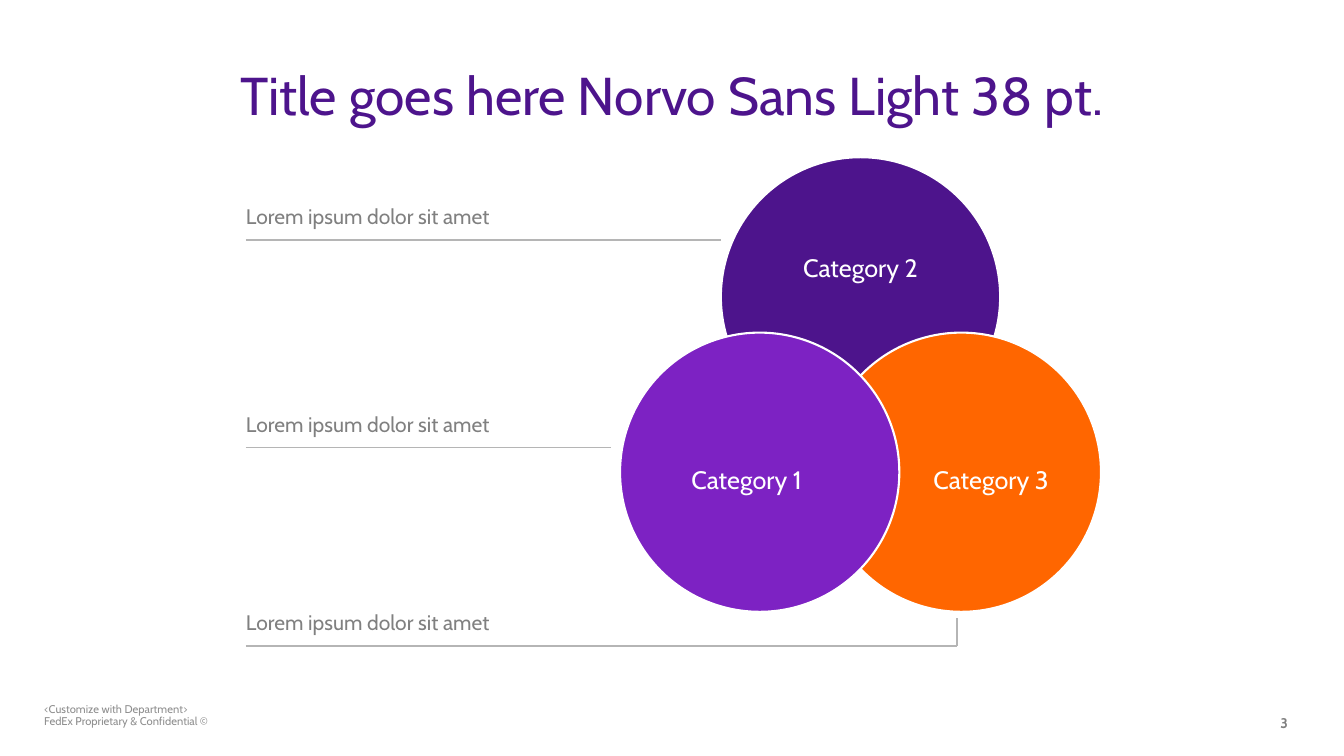
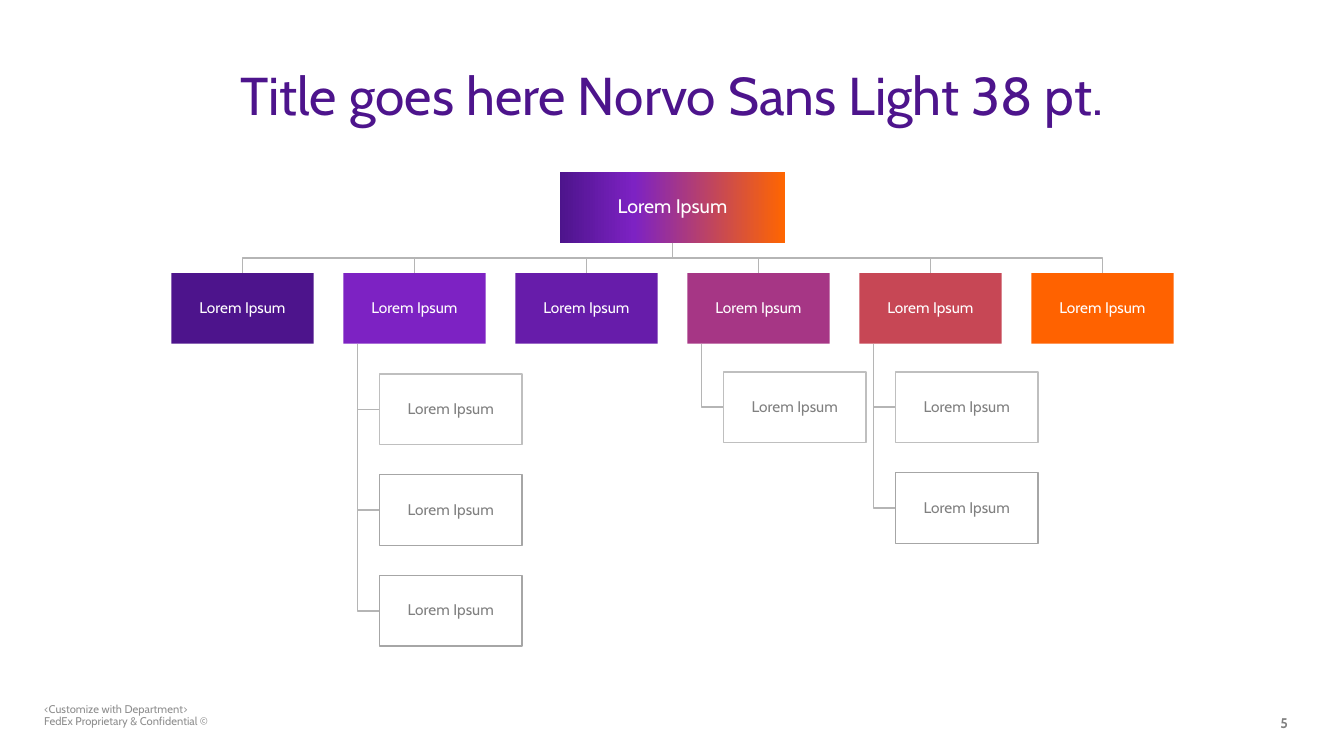
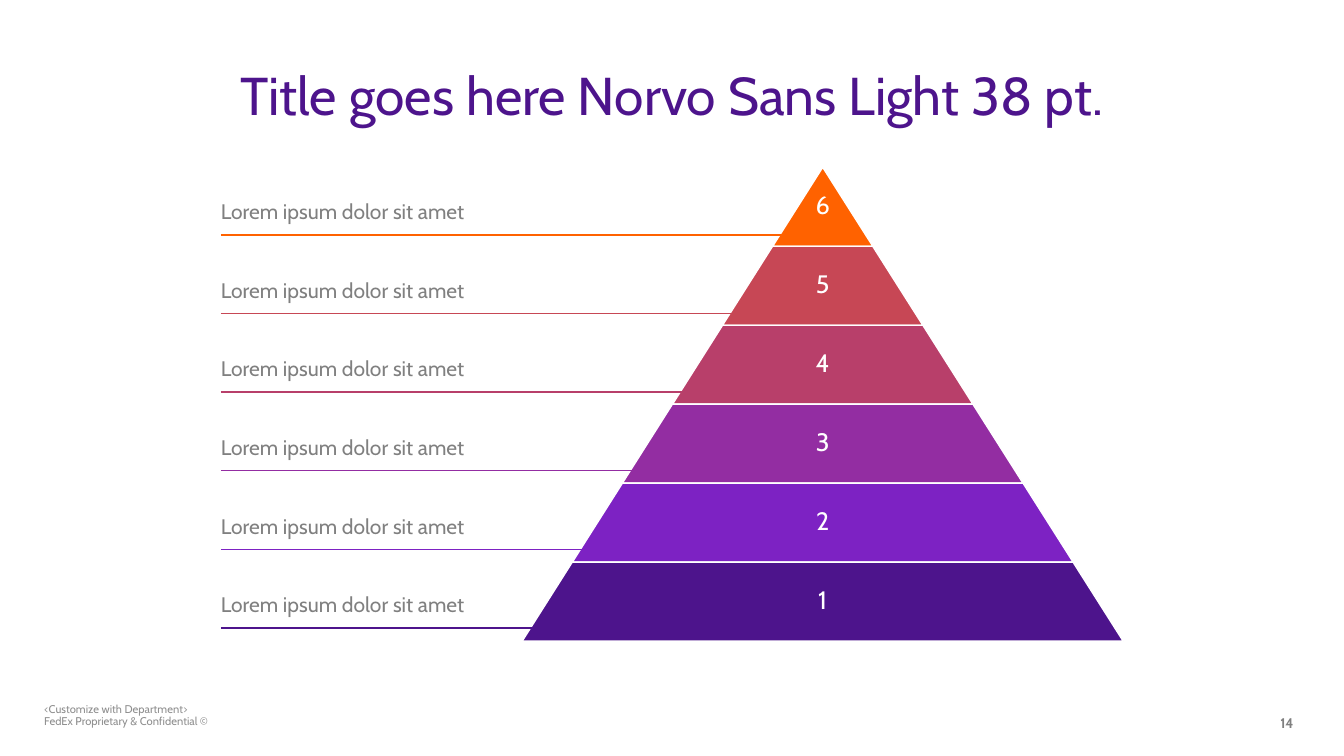
from copy import deepcopy
from dataclasses import dataclass

from lxml import etree
from pptx import Presentation
from pptx.dml.color import RGBColor
from pptx.enum import shapes, text
from pptx.oxml.ns import qn
from pptx.util import Inches, Pt

FONT = "Cabin"
TITLE = "Title goes here Norvo Sans Light 38 pt."
FOOTER = "<Customize with Department>\vFedEx Proprietary & Confidential ©"
LABEL = "Lorem ipsum dolor sit amet"
BOX_LABEL = "Lorem Ipsum"

WHITE = RGBColor(0xFF, 0xFF, 0xFF)
PURPLE = RGBColor(0x4D, 0x14, 0x8C)
VIOLET = RGBColor(0x7D, 0x22, 0xC3)
INDIGO = RGBColor(0x67, 0x1C, 0xAA)
PLUM = RGBColor(0x93, 0x2D, 0xA2)
MAGENTA = RGBColor(0xA6, 0x36, 0x85)
ROSE = RGBColor(0xB8, 0x3F, 0x6A)
RED = RGBColor(0xC7, 0x47, 0x55)
ORANGE = RGBColor(0xFF, 0x66, 0x00)
DEEP_ORANGE = RGBColor(0xFF, 0x62, 0x00)
TEXT_GREY = RGBColor(0x80, 0x80, 0x80)
FOOTER_GREY = RGBColor(0x8E, 0x8E, 0x8E)
LINE_GREY = RGBColor(0xB5, 0xB5, 0xB5)
LIGHT_BORDER = RGBColor(0xBF, 0xBF, 0xBF)
DARK_BORDER = RGBColor(0xA6, 0xA6, 0xA6)

CENTER, LEFT = text.PP_ALIGN.CENTER, text.PP_ALIGN.LEFT
TOP, MIDDLE, BOTTOM = (text.MSO_ANCHOR.TOP, text.MSO_ANCHOR.MIDDLE,
                       text.MSO_ANCHOR.BOTTOM)
DEFAULT_INSETS = (0.1, 0.05, 0.1, 0.05)
NO_INSETS = (0, 0, 0, 0)


@dataclass(frozen=True)
class Circle:
    label: str
    left: float
    top: float
    fill: RGBColor
    insets: tuple


@dataclass(frozen=True)
class Callout:
    y: float
    right: float
    color: RGBColor


@dataclass(frozen=True)
class Department:
    fill: RGBColor
    members: int = 0
    first_top: float = 3.69


CIRCLES = (
    Circle("Category 2", 7.15, 1.56, PURPLE, (0, 0, 0, 0.55)),
    Circle("Category 3", 8.15, 3.3, ORANGE, (0.59, 0.19, 0, 0)),
    Circle("Category 1", 6.15, 3.3, VIOLET, (0, 0.19, 0.26, 0)),
)
CIRCLE_CALLOUTS = (
    Callout(2.38, 7.15, LINE_GREY),
    Callout(4.44, 6.06, LINE_GREY),
    Callout(6.41, 9.49, LINE_GREY),
)
DEPARTMENTS = (
    Department(PURPLE),
    Department(VIOLET, 3, 3.71),
    Department(INDIGO),
    Department(MAGENTA, 1),
    Department(RED, 2),
    Department(DEEP_ORANGE),
)
PYRAMID_FILLS = (DEEP_ORANGE, RED, ROSE, PLUM, VIOLET, PURPLE)


def write(shape, content: str, size: float, color: RGBColor, align=CENTER,
          anchor=MIDDLE, insets=NO_INSETS, spacing=None, after=0, bold=False):
    """Fill a shape with one paragraph; insets run left, top, right, bottom."""
    frame = shape.text_frame
    frame.word_wrap = True
    frame.auto_size = text.MSO_AUTO_SIZE.NONE
    frame.vertical_anchor = anchor
    (frame.margin_left, frame.margin_top,
     frame.margin_right, frame.margin_bottom) = map(Inches, insets)
    para = frame.paragraphs[0]
    para.text = content
    para.alignment = align
    para.line_spacing = spacing
    para.space_after = Pt(after)
    para.font.name = FONT
    para.font.size = Pt(size)
    para.font.bold = bold
    para.font.color.rgb = color


def add_text(page, left, top, width, height, content, size, color, **style):
    box = page.shapes.add_textbox(*map(Inches, (left, top, width, height)))
    write(box, content, size, color, **style)


def add_block(page, kind, left, top, width, height, fill: RGBColor,
              border=None, weight: float = 1):
    block = page.shapes.add_shape(
        kind, *map(Inches, (left, top, width, height)))
    block.shadow.inherit = False
    block.fill.solid()
    block.fill.fore_color.rgb = fill
    if border is None:
        block.line.fill.background()
    else:
        block.line.color.rgb = border
        block.line.width = Pt(weight)
    return block


def add_line(page, x1, y1, x2, y2, color: RGBColor):
    line = page.shapes.add_connector(
        shapes.MSO_CONNECTOR.STRAIGHT, *map(Inches, (x1, y1, x2, y2)))
    line.line.color.rgb = color
    line.line.width = Pt(1)
    etree.SubElement(line.element.spPr, qn("a:effectLst"))


def add_bend(page, *points):
    """Draw an open grey line with square corners through the points."""
    start, *rest = [(Inches(x), Inches(y)) for x, y in points]
    builder = page.shapes.build_freeform(*start)
    builder.add_line_segments(rest, close=False)
    bend = builder.convert_to_shape()
    bend.shadow.inherit = False
    bend.fill.background()
    bend.line.color.rgb = LINE_GREY
    bend.line.width = Pt(1)


def add_callout(page, left: float, width: float, callout: Callout):
    add_text(page, left, callout.y - 0.47, width, 0.36, LABEL, 15, TEXT_GREY,
             align=LEFT, anchor=BOTTOM, after=6)
    add_line(page, left, callout.y, callout.right, callout.y, callout.color)


def add_page(deck, number: int):
    """Add a slide with the shared title, footer and page number."""
    page = deck.slides.add_slide(deck.slide_layouts[5])
    title = page.shapes.title
    title.left, title.top, title.width, title.height = map(
        Inches, (0, 0.56, 13.33, 0.74))
    write(title, TITLE, 38, PURPLE, insets=DEFAULT_INSETS, after=6)
    add_text(page, 0.34, 6.93, 3.88, 0.3, FOOTER, 8, FOOTER_GREY, align=LEFT,
             anchor=TOP, insets=DEFAULT_INSETS, spacing=0.9)
    add_text(page, 12.6, 7.04, 0.5, 0.2, str(number), 10, TEXT_GREY,
             align=LEFT, anchor=TOP, insets=DEFAULT_INSETS, bold=True)
    return page


def build_circles(deck):
    page = add_page(deck, 3)
    for circle in CIRCLES:
        disc = add_block(page, shapes.MSO_SHAPE.OVAL, circle.left, circle.top,
                         2.77, 2.77, circle.fill, WHITE, 1.5)
        write(disc, circle.label, 18, WHITE, insets=circle.insets, spacing=0.9)
    for callout in CIRCLE_CALLOUTS:
        add_callout(page, 2.44, 3.5, callout)
    last = CIRCLE_CALLOUTS[-1]
    add_line(page, last.right, last.y, last.right, 6.13, LINE_GREY)


def add_org_box(page, left, top, width, fill, border=None, size=11,
                color=WHITE):
    box = add_block(page, shapes.MSO_SHAPE.RECTANGLE, left, top, width, 0.7,
                    fill, border)
    write(box, BOX_LABEL, size, color, insets=(0.01,) * 4, spacing=0.9)
    return box


def set_brand_gradient(shape):
    shape.fill.gradient()
    shape.fill.gradient_angle = 0
    stop_list = shape.element.spPr.find(".//" + qn("a:gsLst"))
    stop_list.append(deepcopy(stop_list[0]))
    stops = ((0, PURPLE), (0.33, VIOLET), (1, ORANGE))
    for stop, (position, color) in zip(shape.fill.gradient_stops, stops):
        stop.position = position
        stop.color.rgb = color


def build_org_chart(deck):
    page = add_page(deck, 5)
    middle, root_width, root_top = 6.67, 2.24, 1.71
    row_left, row_right, row_top = 1.7, 11.64, 2.71
    width, height = 1.41, 0.7
    pitch = (row_right - row_left - width) / (len(DEPARTMENTS) - 1)
    root_bottom = root_top + height
    bus = (root_bottom + row_top) / 2

    root = add_org_box(page, middle - root_width / 2, root_top, root_width,
                       PURPLE, size=14)
    set_brand_gradient(root)
    for column, department in enumerate(DEPARTMENTS):
        left = row_left + column * pitch
        center = left + width / 2
        add_bend(page, (middle, root_bottom), (middle, bus), (center, bus),
                 (center, row_top))
        add_org_box(page, left, row_top, width, department.fill)
        spine, member_left = left + 0.14, left + 0.36
        for row in range(department.members):
            top = department.first_top + row
            level = top + height / 2
            add_bend(page, (spine, row_top + height), (spine, level),
                     (member_left, level))
            add_org_box(page, member_left, top, width, WHITE,
                        DARK_BORDER if row else LIGHT_BORDER, color=TEXT_GREY)


def build_pyramid(deck):
    page = add_page(deck, 14)
    center, top, base, total_height = 8.16, 1.66, 5.96, 4.7
    count = len(PYRAMID_FILLS)
    height = total_height / count
    for row, fill in enumerate(PYRAMID_FILLS):
        width = base * (row + 1) / count
        place = (center - width / 2, top + row * height, width, height)
        tier = add_block(page, shapes.MSO_SHAPE.TRAPEZOID, *place, fill, WHITE)
        tier.adjustments[0] = base / count / 2 / height
        add_text(page, *place, str(count - row), 18, WHITE, spacing=0.9)
    for row, fill in enumerate(PYRAMID_FILLS):
        add_callout(page, 2.19, 2.94,
                    Callout(2.33 + 0.78 * row, 7.84 - 0.47 * row, fill))


def main():
    deck = Presentation()
    deck.slide_width, deck.slide_height = Inches(13.33), Inches(7.5)
    build_circles(deck)
    build_org_chart(deck)
    build_pyramid(deck)
    deck.save("out.pptx")


if __name__ == "__main__":
    main()
